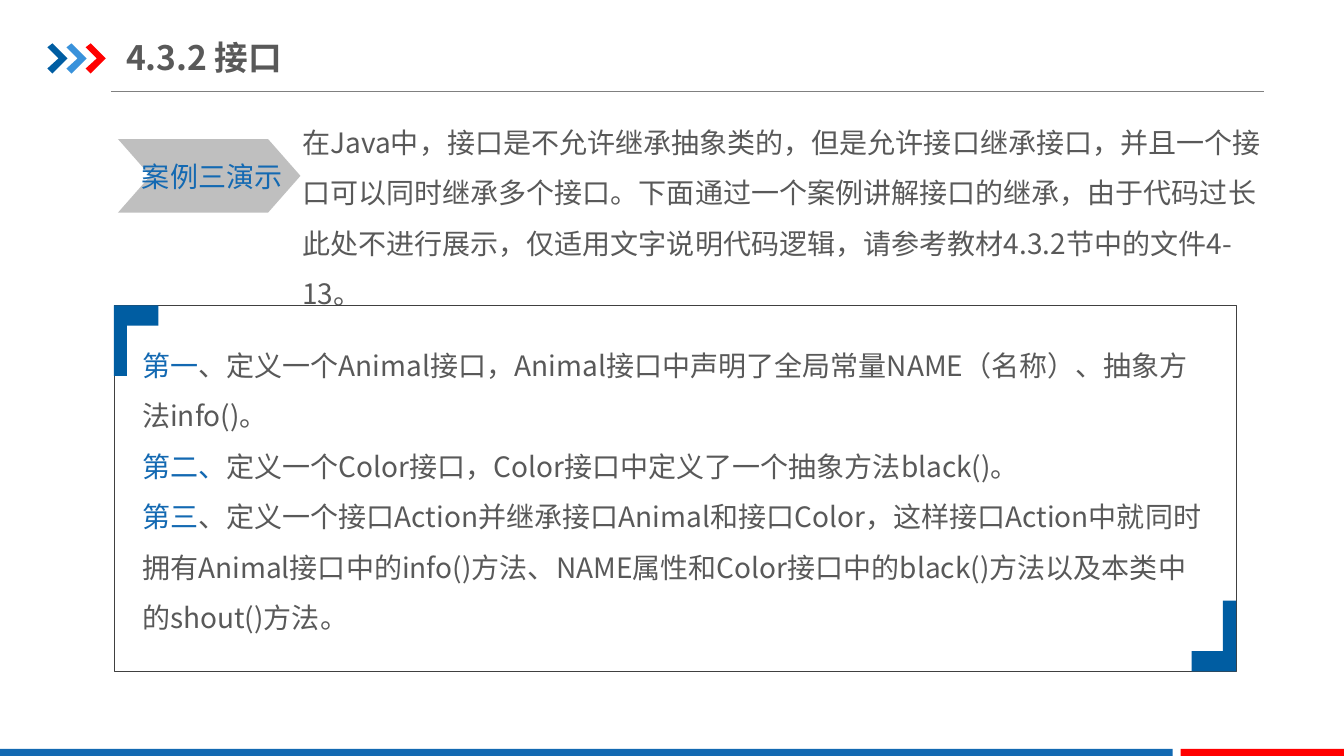
from dataclasses import dataclass

from lxml import etree
from pptx import Presentation
from pptx import util as u
from pptx.dml.color import RGBColor
from pptx.enum import shapes, text
from pptx.oxml.ns import qn

SCALE = 9144
FONT = "Noto Sans CJK SC"
GREY, BLUE, NAVY, SKY, RED, SILVER = "595959", "1369B2", "005DA2", "3992DB", "FF0000", "BFBFBF"
RULE, FRAME = "808080", "404040"


@dataclass(frozen=True)
class Area:
    """A rectangle on the page, in px."""
    left: int
    top: int
    width: int
    height: int


@dataclass(frozen=True)
class Outline:
    """A filled polygon with its corners in px."""
    points: tuple[tuple[int, int], ...]
    fill: str


@dataclass(frozen=True)
class Bar:
    """A filled strip at the foot of the page."""
    area: Area
    fill: str


@dataclass(frozen=True)
class Step:
    """One list entry with a coloured lead."""
    lead: str
    rest: str


BARS = (Bar(Area(0, 743, 1163, 7), BLUE), Bar(Area(1171, 743, 162, 7), RED))
ARROW = ((47, 47), (52, 43), (67, 58), (52, 73), (47, 68), (58, 58))
ARROW_STEP = 19
BRACKET = ((113, 303), (157, 303), (157, 323), (126, 323), (126, 373), (113, 373))
FRAME_AREA = Area(113, 303, 1113, 363)
INTRO = ("在Java中，接口是不允许继承抽象类的，但是允许接口继承接口，并且一个接口可以同时继承多个接口。"
         "下面通过一个案例讲解接口的继承，由于代码过长此处不进行展示，仅适用文字说明代码逻辑，"
         "请参考教材4.3.2节中的文件4-13。")
STEPS = (
    Step("第一", "、定义一个Animal接口，Animal接口中声明了全局常量NAME（名称）、抽象方法info()。"),
    Step("第二、", "定义一个Color接口，Color接口中定义了一个抽象方法black()。"),
    Step("第三", "、定义一个接口Action并继承接口Animal和接口Color，这样接口Action中就同时拥有"
               "Animal接口中的info()方法、NAME属性和Color接口中的black()方法以及本类中的shout()方法。"),
)


def px(length: int) -> u.Emu:
    """Turn px into EMU."""
    return u.Emu(length * SCALE)


def colour(value: str) -> RGBColor:
    """Turn a hex string into a colour."""
    return RGBColor.from_string(value)


def place(box, area: Area) -> None:
    """Move and size a box."""
    box.left, box.top = px(area.left), px(area.top)
    box.width, box.height = px(area.width), px(area.height)


def add_span(para, words: str, *, size: int = 20, fill: str = GREY, bold: bool = False) -> None:
    """Add formatted text to a paragraph."""
    span = para.add_run()
    span.text = words
    span.font.size = u.Pt(size)
    span.font.bold = bold
    span.font.color.rgb = colour(fill)
    span.font.name = FONT
    etree.SubElement(span.font._element, qn("a:ea")).set("typeface", FONT)


def add_text(page, area: Area, words: str, *, fill: str = GREY,
             spacing: float = 1.0, wrap: bool = True) -> None:
    """Add a text box with one paragraph."""
    box = page.shapes.add_textbox(0, 0, 0, 0)
    place(box, area)
    box.text_frame.word_wrap = wrap
    box.text_frame.auto_size = text.MSO_AUTO_SIZE.SHAPE_TO_FIT_TEXT
    para = box.text_frame.paragraphs[0]
    para.line_spacing = spacing
    add_span(para, words, fill=fill)


def add_preset(page, kind: shapes.MSO_SHAPE, area: Area, *, fill: str | None = None,
               line: str | None = None, adjust: float | None = None) -> None:
    """Add a preset shape."""
    shape = page.shapes.add_shape(kind, 0, 0, 0, 0)
    place(shape, area)
    finish(shape, fill, line)
    if adjust is not None:
        shape.adjustments[0] = adjust


def finish(shape, fill: str | None, line: str | None = None) -> None:
    """Set the fill and line of a shape and drop its shadow."""
    shape.shadow.inherit = False
    if fill:
        shape.fill.solid()
        shape.fill.fore_color.rgb = colour(fill)
    else:
        shape.fill.background()
    if line:
        shape.line.color.rgb = colour(line)
        shape.line.width = u.Pt(0.25)
    else:
        shape.line.fill.background()


def add_outline(page, outline: Outline) -> None:
    """Add a filled polygon."""
    builder = page.shapes.build_freeform(*outline.points[0], scale=SCALE)
    builder.add_line_segments(outline.points[1:], close=True)
    finish(builder.convert_to_shape(), outline.fill)


def add_rule(page) -> None:
    """Add the line below the title."""
    rule = page.shapes.add_connector(shapes.MSO_CONNECTOR.STRAIGHT, px(110), px(91), px(1254), px(91))
    rule.line.color.rgb = colour(RULE)
    rule.line.width = u.Pt(0.75)
    etree.SubElement(rule._element.spPr, qn("a:effectLst"))


def fill_title(title) -> None:
    """Place and write the title."""
    place(title, Area(125, 29, 426, 55))
    frame = title.text_frame
    frame.margin_left = frame.margin_right = 0
    frame.margin_top = frame.margin_bottom = px(7)
    frame.vertical_anchor = text.MSO_ANCHOR.MIDDLE
    frame.auto_size = text.MSO_AUTO_SIZE.NONE
    para = frame.paragraphs[0]
    para.alignment = text.PP_ALIGN.LEFT
    add_span(para, "4.3.2 接口", size=24, bold=True)


def fill_steps(body) -> None:
    """Place and write the list of steps."""
    place(body, Area(131, 324, 1079, 313))
    frame = body.text_frame
    frame.auto_size = text.MSO_AUTO_SIZE.NONE
    for index, step in enumerate(STEPS):
        para = frame.add_paragraph() if index else frame.paragraphs[0]
        properties = para._p.get_or_add_pPr()
        properties.set("marL", "0")
        properties.set("indent", "0")
        etree.SubElement(properties, qn("a:buNone"))
        para.line_spacing = 1.5
        para.space_before = u.Pt(0)
        add_span(para, step.lead, fill=BLUE)
        add_span(para, step.rest)


def main() -> None:
    """Build and save the deck."""
    deck = Presentation()
    deck.slide_width, deck.slide_height = px(1333), px(750)
    page = deck.slides.add_slide(deck.slide_layouts[1])
    add_rule(page)
    for index, fill in enumerate((NAVY, SKY, RED)):
        add_outline(page, Outline(tuple((x + index * ARROW_STEP, y) for x, y in ARROW), fill))
    for bar in BARS:
        add_preset(page, shapes.MSO_SHAPE.RECTANGLE, bar.area, fill=bar.fill)
    fill_title(page.shapes.title)
    add_text(page, Area(290, 103, 981, 161), INTRO, spacing=1.5)
    add_preset(page, shapes.MSO_SHAPE.CHEVRON, Area(117, 138, 181, 73), fill=SILVER, adjust=0.44)
    add_text(page, Area(131, 153, 159, 44), "案例三演示", fill=BLUE, wrap=False)
    fill_steps(page.placeholders[1])
    add_preset(page, shapes.MSO_SHAPE.ROUNDED_RECTANGLE, FRAME_AREA, line=FRAME, adjust=0)
    turn_x = 2 * FRAME_AREA.left + FRAME_AREA.width
    turn_y = 2 * FRAME_AREA.top + FRAME_AREA.height
    add_outline(page, Outline(BRACKET, NAVY))
    add_outline(page, Outline(tuple((turn_x - x, turn_y - y) for x, y in BRACKET), NAVY))
    deck.save("out.pptx")


if __name__ == "__main__":
    main()
